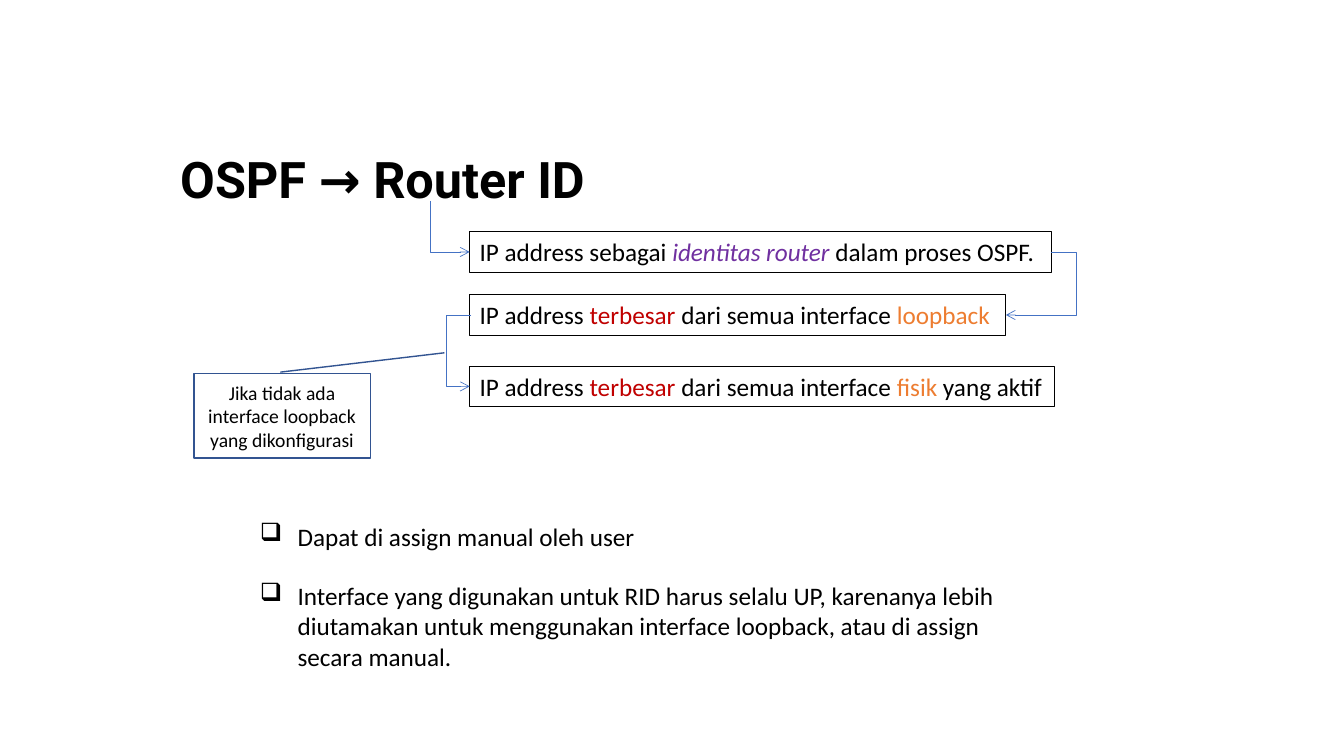
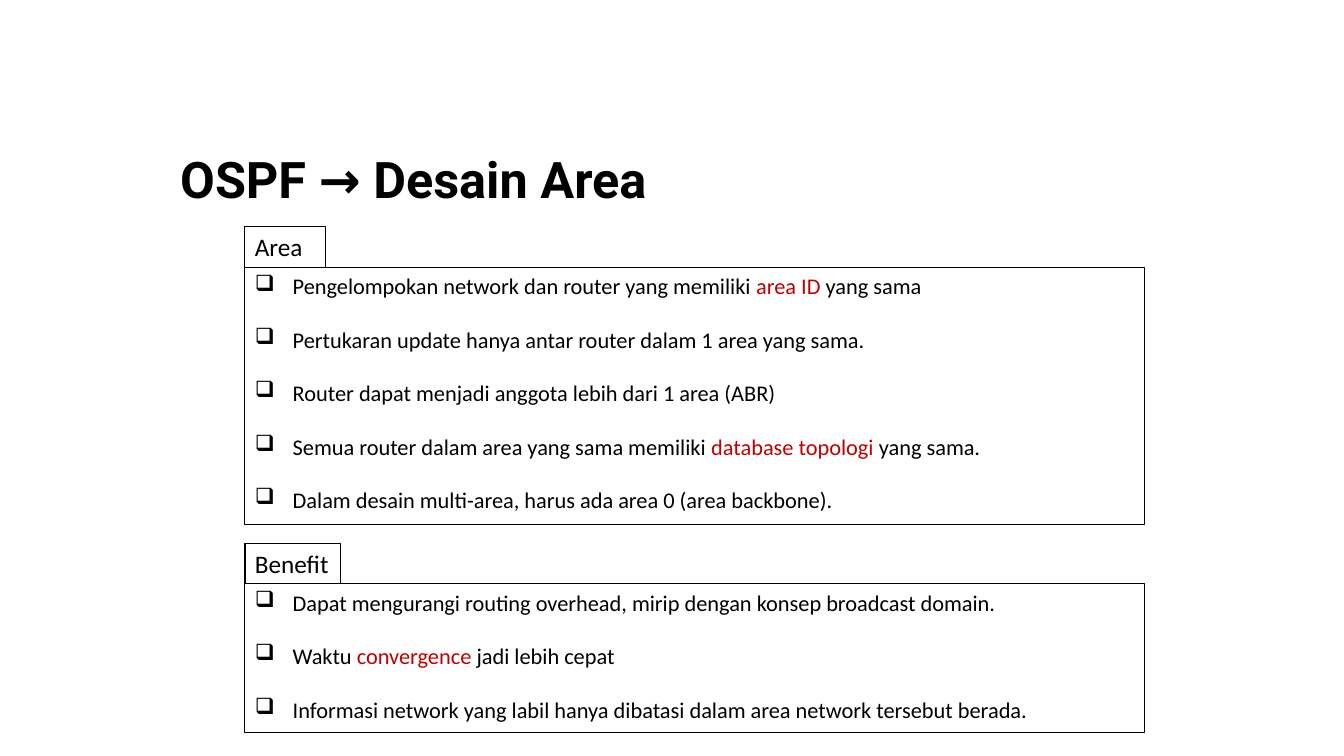
"""Builds two slides on OSPF router IDs and area design."""
from lxml.etree import SubElement
from pptx import Presentation
from pptx.dml.color import RGBColor
from pptx.enum.shapes import MSO_CONNECTOR, MSO_SHAPE
from pptx.enum.text import MSO_ANCHOR, PP_ALIGN
from pptx.oxml.ns import qn
from pptx.util import Pt

COLORS = {
    "black": "000000",
    "red": "C00000",
    "orange": "ED7D31",
    "purple": "7030A0",
    "arrow": "4472C4",
    "callout": "325491",
}


class Deck:
    """Holds the style and the current slide."""

    body_font = "Calibri"
    title_font = "Roboto"
    label_height = 29

    def __init__(self):
        """Start an empty widescreen presentation."""
        self.prs = Presentation()
        self.prs.slide_width, self.prs.slide_height = Pt(960), Pt(540)

    def slide(self, title):
        """Add a slide with its title."""
        self.s = self.prs.slides.add_slide(self.prs.slide_layouts[6])
        tf = self.box(121.7, 98, 767.5, 64).text_frame
        tf.vertical_anchor = MSO_ANCHOR.MIDDLE
        p = tf.paragraphs[0]
        p.line_spacing = 0.9
        self.runs(p, [title], 36, self.title_font, True)

    def box(self, x, y, w, h, line=None):
        """Add a wrapping text box, outlined when a line colour is given."""
        sp = self.s.shapes.add_textbox(Pt(x), Pt(y), Pt(w), Pt(h))
        sp.text_frame.word_wrap = True
        if line:
            self.stroke(sp.line, line, 0.75)
        return sp

    def stroke(self, line, color, width):
        """Set a line's colour and width."""
        line.color.rgb = RGBColor.from_string(COLORS[color])
        line.width = Pt(width)

    def runs(self, p, parts, size, font=body_font, bold=False):
        """Add runs, each a plain string or a (text, colour) pair."""
        for part in parts:
            text, color = (part, "black") if isinstance(part, str) else part
            r = p.add_run()
            r.text = text
            r.font.name, r.font.size, r.font.bold = font, Pt(size), bold
            r.font.italic = color == "purple"
            r.font.color.rgb = RGBColor.from_string(COLORS[color])

    def label(self, x, y, w, *parts):
        """Add an outlined one-line label."""
        sp = self.box(x, y, w, self.label_height, "black")
        self.runs(sp.text_frame.paragraphs[0], parts, 18)

    def bullets(self, x, y, w, h, size, gap, items, line=None):
        """Add a list with square bullets."""
        tf = self.box(x, y, w, h, line).text_frame
        for i, parts in enumerate(items):
            p = tf.add_paragraph() if i else tf.paragraphs[0]
            pPr = p._p.get_or_add_pPr()
            pPr.set("marL", str(Pt(27)))
            pPr.set("indent", str(Pt(-27)))
            SubElement(pPr, qn("a:buChar"), char="❑")
            if i:
                p.space_before = Pt(gap)
            self.runs(p, parts, size)

    def panel(self, y, h, name, name_width, items):
        """Add a bulleted panel with a name tab on top."""
        x = 175
        self.bullets(x, y + self.label_height, 642.5, h, 16, 19, items, "black")
        self.label(x, y, name_width, name)

    def elbow(self, x1, y1, x2, y2, bend_x):
        """Add a bent arrow whose vertical part runs at bend_x."""
        c = self.s.shapes.add_connector(
            MSO_CONNECTOR.ELBOW, Pt(x1), Pt(y1), Pt(x2), Pt(y2))
        self.stroke(c.line, "arrow", 0.5)
        spPr = c._element.spPr
        avLst = spPr.find(qn("a:prstGeom")).get_or_add_avLst()
        ratio = round((bend_x - x1) / (x2 - x1) * 100000)
        SubElement(avLst, qn("a:gd"), name="adj1", fmla=f"val {ratio}")
        SubElement(c.line._get_or_add_ln(), qn("a:tailEnd"), type="arrow")
        SubElement(spPr, qn("a:effectLst"))

    def callout(self, x, y, w, h, adjustments, text):
        """Add a line callout with centred text."""
        sp = self.s.shapes.add_shape(
            MSO_SHAPE.LINE_CALLOUT_1, Pt(x), Pt(y), Pt(w), Pt(h))
        sp.shadow.inherit = False
        sp.fill.background()
        self.stroke(sp.line, "callout", 1)
        for i, value in enumerate(adjustments):
            sp.adjustments[i] = value
        tf = sp.text_frame
        tf.word_wrap = True
        tf.vertical_anchor = MSO_ANCHOR.MIDDLE
        p = tf.paragraphs[0]
        p.alignment = PP_ALIGN.CENTER
        self.runs(p, [text], 14)


def router_id(d):
    """Build the router ID slide."""
    d.slide("OSPF → Router ID")
    x, tops = 335.5, (165.5, 210.5, 261.5)
    widths = (415.5, 383, 418)
    largest = ("IP address ", ("terbesar ", "red"), "dari semua interface ")
    texts = (
        ("IP address sebagai ", ("identitas router ", "purple"), "dalam proses OSPF."),
        (*largest, ("loopback", "orange")),
        (*largest, ("fisik", "orange"), " yang aktif"),
    )
    for y, w, parts in zip(tops, widths, texts):
        d.label(x, y, w, *parts)
    first, second, third = (y + d.label_height / 2 for y in tops)
    d.elbow(307.5, 143.5, x, first, 307.5)
    d.elbow(x + widths[0], first, x + widths[1], second, 769)
    d.elbow(x + 1, second, x, third, 318.5)
    d.callout(138.5, 267, 126, 60, (-0.02, 0.49, -0.25, 1.42),
              "Jika tidak ada interface loopback yang dikonfigurasi")
    d.bullets(178.5, 368.5, 540, 116.5, 18, 21, (
        ["Dapat di assign manual oleh user"],
        ["Interface yang digunakan untuk RID harus selalu UP, karenanya lebih "
         "diutamakan untuk menggunakan interface loopback, atau di assign "
         "secara manual."],
    ))


def area_design(d):
    """Build the area design slide."""
    d.slide("OSPF → Desain Area")
    d.panel(162, 184, "Area", 57.5, (
        ["Pengelompokan network dan router yang memiliki ",
         ("area ID ", "red"), "yang sama"],
        ["Pertukaran update hanya antar router dalam 1 area yang sama."],
        ["Router dapat menjadi anggota lebih dari 1 area (ABR)"],
        ["Semua router dalam area yang sama memiliki ",
         ("database topologi ", "red"), "yang sama."],
        ["Dalam desain multi-area, harus ada area 0 (area backbone)."],
    ))
    d.panel(388, 106.5, "Benefit", 68.5, (
        ["Dapat mengurangi routing overhead, mirip dengan konsep broadcast domain."],
        ["Waktu ", ("convergence ", "red"), "jadi lebih cepat"],
        ["Informasi network yang labil hanya dibatasi dalam area network "
         "tersebut berada."],
    ))


def main():
    """Build and save the slides."""
    d = Deck()
    router_id(d)
    area_design(d)
    d.prs.save("out.pptx")


if __name__ == "__main__":
    main()
